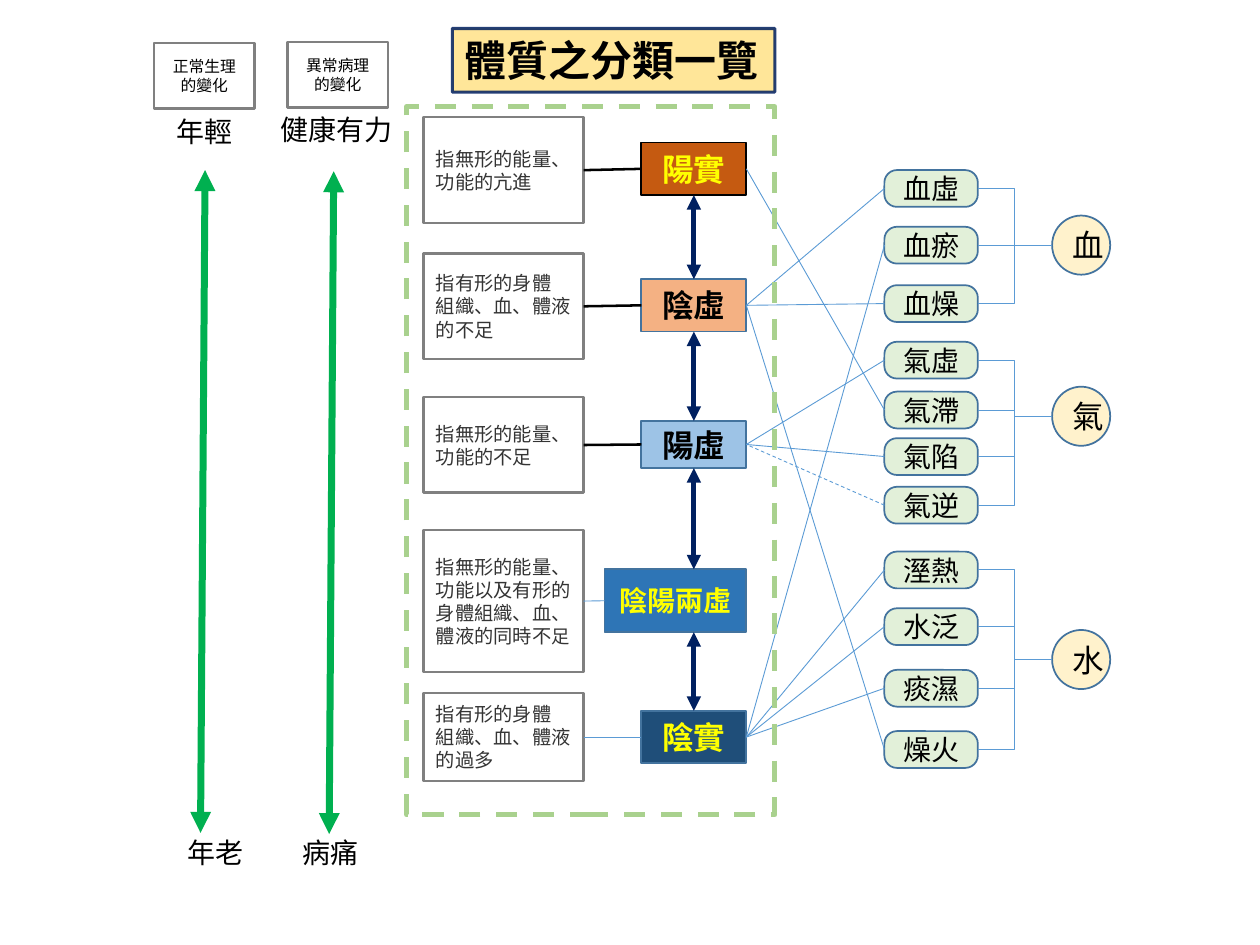
from dataclasses import dataclass, replace

from lxml import etree
from pptx import Presentation
from pptx.dml.color import RGBColor
from pptx.enum import dml, shapes, text
from pptx.oxml import ns
from pptx.util import Pt

BLACK = RGBColor(0, 0, 0)
WHITE = RGBColor(255, 255, 255)
YELLOW = RGBColor(255, 255, 0)
CHARCOAL = RGBColor(0x34, 0x34, 0x34)
GRAY = RGBColor(0x80, 0x80, 0x80)
NAVY = RGBColor(0x00, 0x20, 0x60)
STEEL = RGBColor(0x43, 0x73, 0x9E)
BLUE = RGBColor(0x5B, 0x9B, 0xD5)
GREEN = RGBColor(0x00, 0xB0, 0x50)
LEAF = RGBColor(0xA9, 0xD1, 0x8E)
MINT = RGBColor(0xE2, 0xF0, 0xD9)
CREAM = RGBColor(0xFF, 0xF2, 0xCC)
GOLD = RGBColor(0xFF, 0xE6, 0x99)
RUST = RGBColor(0xC5, 0x5A, 0x11)
PEACH = RGBColor(0xF4, 0xB1, 0x83)
SKY = RGBColor(0x9D, 0xC3, 0xE6)
OCEAN = RGBColor(0x2E, 0x75, 0xB6)
DEEP = RGBColor(0x1F, 0x4E, 0x79)

RECT = shapes.MSO_SHAPE.RECTANGLE
STRAIGHT = shapes.MSO_CONNECTOR.STRAIGHT
ELBOW = shapes.MSO_CONNECTOR.ELBOW
LEFT, CENTER = text.PP_ALIGN.LEFT, text.PP_ALIGN.CENTER
MIDDLE, TOP = text.MSO_ANCHOR.MIDDLE, text.MSO_ANCHOR.TOP


@dataclass(frozen=True)
class Area:
    left: float
    top: float
    width: float
    height: float

    def points(self) -> tuple:
        return Pt(self.left), Pt(self.top), Pt(self.width), Pt(self.height)


@dataclass(frozen=True)
class Style:
    size: float
    font: str
    color: RGBColor = BLACK
    bold: bool = False
    align: text.PP_ALIGN = CENTER
    wrap: bool = True
    anchor: text.MSO_ANCHOR = MIDDLE


@dataclass(frozen=True)
class Constitution:
    name: str
    area: Area
    fill: RGBColor
    outline: RGBColor
    style: Style
    note_top: float
    note_height: float
    note: tuple[str, ...]
    link_color: RGBColor
    link_width: float


@dataclass(frozen=True)
class Symptom:
    name: str
    top: float
    constitution: int
    dashed: bool = False


@dataclass(frozen=True)
class Group:
    name: str
    top: float
    symptoms: tuple[Symptom, ...]


BRIGHT = Style(18, "Calibri", YELLOW, True)
DARK = replace(BRIGHT, color=BLACK)
NOTE = Style(11, "Roboto", CHARCOAL, align=LEFT, wrap=False)
HEADER = Style(9, "Arial", wrap=False)
CAPTION = Style(16, "Arial", align=LEFT, wrap=False, anchor=TOP)
SYMPTOM = Style(16, "Calibri")
GROUP = Style(18, "Calibri")
TITLE = Style(24, "Noto Sans CJK SC", bold=True, align=LEFT, wrap=False, anchor=TOP)

CONSTITUTIONS = (
    Constitution("陽實", Area(366.5, 81.5, 60, 30), RUST, BLACK, BRIGHT, 67, 60.5,
                 ("指無形的能量、", "功能的亢進"), BLACK, 1.45),
    Constitution("陰虛", Area(366.5, 159.5, 60, 30), PEACH, STEEL, DARK, 144.8, 60.5,
                 ("指有形的身體", "組織、血、體液", "的不足"), BLACK, 1.45),
    Constitution("陽虛", Area(366.5, 240.5, 60, 27), SKY, STEEL, DARK, 227, 54.6,
                 ("指無形的能量、", "功能的不足"), BLACK, 1.45),
    Constitution("陰陽兩虛", Area(345.5, 325.3, 81, 36), OCEAN, STEEL, replace(BRIGHT, size=16),
                 303, 81, ("指無形的能量、", "功能以及有形的", "身體組織、血、", "體液的同時不"), BLUE, 0.5),
    Constitution("陰實", Area(366.5, 406.2, 60, 30), DEEP, STEEL, BRIGHT, 396, 50.4,
                 ("指有形的身體", "組織、血、體液", "的過多"), BLUE, 0.5),
)
GROUPS = (
    Group("血", 123.2, (Symptom("血虛", 97.2, 1), Symptom("血瘀", 129.6, 4),
                       Symptom("血燥", 163, 1))),
    Group("氣", 221, (Symptom("氣虛", 195.3, 2), Symptom("氣滯", 223.8, 0),
                     Symptom("氣陷", 250.4, 2), Symptom("氣逆", 278.2, 2, True))),
    Group("水", 360, (Symptom("溼熱", 315.2, 4), Symptom("水泛", 347.6, 4),
                     Symptom("痰濕", 382.8, 4), Symptom("燥火", 417.8, 1))),
)


def add_run(para, words: str, style: Style) -> None:
    span = para.add_run()
    span.text = words
    span.font.size = Pt(style.size)
    span.font.name = style.font
    span.font.bold = style.bold
    span.font.color.rgb = style.color


def write(box, lines: tuple[str, ...], style: Style) -> None:
    frame = box.text_frame
    frame.word_wrap = style.wrap
    frame.vertical_anchor = style.anchor
    for index, words in enumerate(lines):
        para = frame.add_paragraph() if index else frame.paragraphs[0]
        para.alignment = style.align
        add_run(para, words, style)


def add_box(page, kind, area: Area, fill: RGBColor | None, outline: RGBColor, width: float):
    box = page.shapes.add_shape(kind, *area.points())
    box.shadow.inherit = False
    if fill is None:
        box.fill.background()
    else:
        box.fill.solid()
        box.fill.fore_color.rgb = fill
    box.line.color.rgb = outline
    box.line.width = Pt(width)
    return box


def add_line(page, kind, start: tuple, end: tuple, color: RGBColor, width: float,
             arrows: bool = False):
    line = page.shapes.add_connector(kind, *(Pt(value) for value in start + end))
    line.line.color.rgb = color
    line.line.width = Pt(width)
    properties = line._element.spPr
    etree.SubElement(properties, ns.qn("a:effectLst"))
    if arrows:
        for tag in ("a:headEnd", "a:tailEnd"):
            etree.SubElement(properties.find(ns.qn("a:ln")), ns.qn(tag), type="triangle")
    return line


def add_caption(page, words: str, area: Area, style: Style) -> None:
    write(page.shapes.add_textbox(*area.points()), (words,), style)


def add_constitutions(page) -> list:
    boxes = []
    for item in CONSTITUTIONS:
        box = add_box(page, RECT, item.area, item.fill, item.outline, 1)
        write(box, (item.name,), item.style)
        note = add_box(page, RECT, Area(242, item.note_top, 91.5, item.note_height),
                       WHITE, GRAY, 1.45)
        write(note, item.note, NOTE)
        if item.name == "陰陽兩虛":
            add_run(note.text_frame.paragraphs[-1], "足", replace(NOTE, size=10.5))
        link = add_line(page, STRAIGHT, (0, 0), (0, 0), item.link_color, item.link_width)
        link.begin_connect(note, 3)
        link.end_connect(box, 1)
        boxes.append(box)
    axis = 396.5
    for index in range(len(boxes) - 1):
        upper, lower = CONSTITUTIONS[index].area, CONSTITUTIONS[index + 1].area
        arrow = add_line(page, STRAIGHT, (axis, upper.top + upper.height), (axis, lower.top),
                         NAVY, 2.75, True)
        if upper.left + upper.width / 2 == axis:
            arrow.begin_connect(boxes[index], 2)
        if lower.left + lower.width / 2 == axis:
            arrow.end_connect(boxes[index + 1], 0)
    return boxes


def add_group(page, group: Group, boxes: list) -> None:
    circle = add_box(page, shapes.MSO_SHAPE.OVAL, Area(601.2, group.top, 33.2, 33.8),
                     CREAM, STEEL, 1)
    write(circle, (group.name,), GROUP)
    for symptom in group.symptoms:
        area = Area(505.4, symptom.top, 53.4, 21)
        label = add_box(page, shapes.MSO_SHAPE.ROUNDED_RECTANGLE, area, MINT, STEEL, 1)
        label.adjustments[0] = 0.34
        write(label, (symptom.name,), SYMPTOM)
        link = add_line(page, STRAIGHT, (0, 0), (0, 0), BLUE, 0.5)
        link.begin_connect(label, 1)
        link.end_connect(boxes[symptom.constitution], 3)
        if symptom.dashed:
            link.line.dash_style = dml.MSO_LINE.DASH
        add_line(page, ELBOW, (area.left + area.width, area.top + area.height / 2),
                 (601.2, group.top + 16.9), BLUE, 0.5)


def main() -> None:
    deck = Presentation()
    deck.slide_width, deck.slide_height = Pt(720), Pt(540)
    page = deck.slides.add_slide(deck.slide_layouts[6])

    boxes = add_constitutions(page)
    for words, left, top, width in (("年輕", 93.8, 62, 46.8), ("年老", 100.2, 474, 46.8),
                                    ("健康有力", 153.2, 61, 79.2), ("病痛", 165.8, 474, 46.8)):
        add_caption(page, words, Area(left, top, width, 34.6), CAPTION)
    for words, left, top in (("正常生理", 88, 24.6), ("異常病理", 164.2, 24)):
        header = add_box(page, RECT, Area(left, top, 57.6, 37.4), WHITE, GRAY, 1.45)
        write(header, (words, "的變化"), HEADER)
    for left, top in ((117.2, 97.2), (190.7, 97.9)):
        add_line(page, STRAIGHT, (left, top), (left - 2.6, top + 378.7), GREEN, 4, True)
    for group in GROUPS:
        add_group(page, group, boxes)

    title = add_box(page, RECT, Area(258.5, 16.3, 184.3, 36.4), GOLD, NAVY, 1.75)
    write(title, ("體質之分類一覽",), TITLE)
    title.text_frame.auto_size = text.MSO_AUTO_SIZE.SHAPE_TO_FIT_TEXT
    tint = title.line._ln.find(".//" + ns.qn("a:srgbClr"))
    etree.SubElement(tint, ns.qn("a:alpha"), val="85000")
    frame = add_box(page, RECT, Area(232.4, 61, 210.4, 404.6), None, LEAF, 3)
    frame.line.dash_style = dml.MSO_LINE.DASH

    deck.save("out.pptx")


if __name__ == "__main__":
    main()
